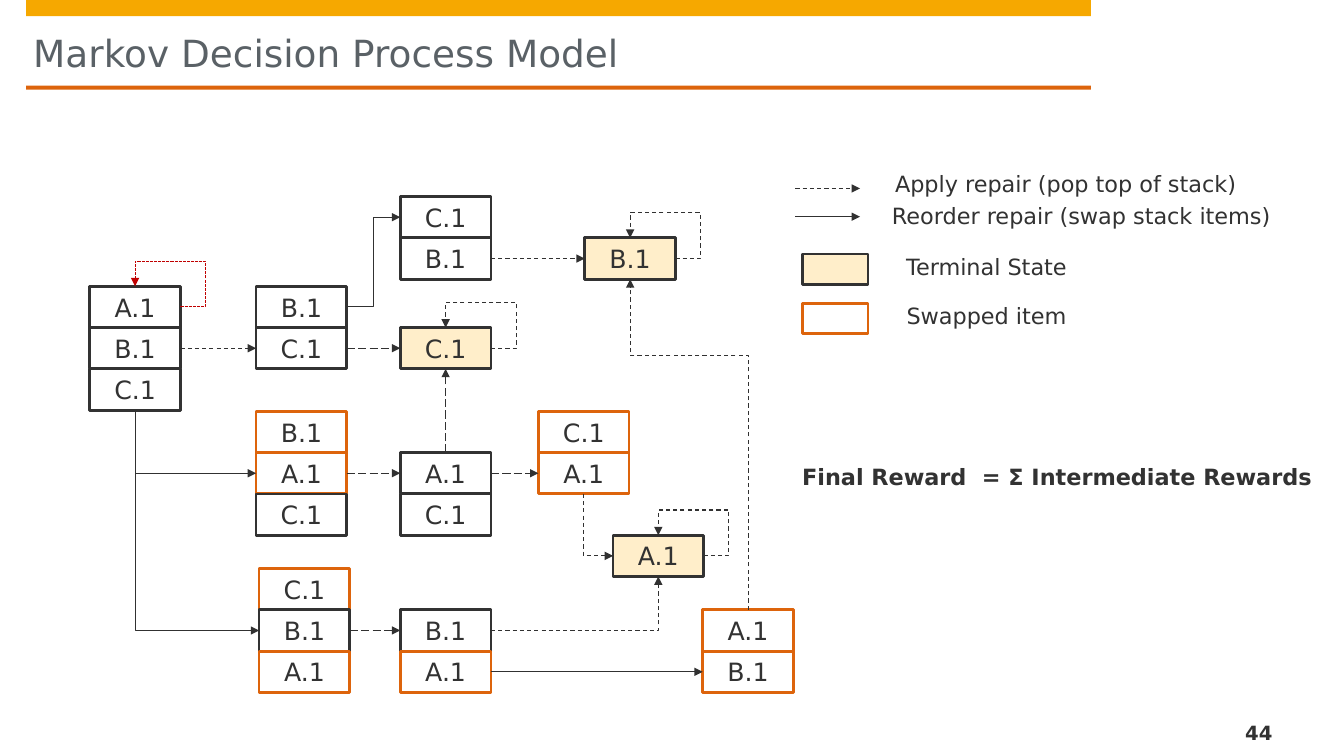
from dataclasses import dataclass
from lxml.etree import SubElement
from pptx import Presentation
from pptx.dml.color import RGBColor
from pptx.enum.dml import MSO_LINE
from pptx.enum.shapes import MSO_CONNECTOR, MSO_SHAPE
from pptx.enum.text import MSO_ANCHOR, PP_ALIGN
from pptx.oxml.ns import qn
from pptx.util import Inches, Pt


@dataclass(frozen=True)
class Theme:
    font: str = "DejaVu Sans"
    ink: str = "323232"
    wire: str = "313131"
    grey: str = "5A6166"
    gold: str = "F6A800"
    orange: str = "DD640C"
    cream: str = "FFEECA"
    white: str = "FFFFFF"
    red: str = "C00000"
    title: float = 26.7
    cell: float = 18
    label: float = 16
    page: float = 14
    border: float = 2
    thin: float = 0.75


T = Theme()
LOOKS = {
    "plain": (T.white, T.ink),
    "swap": (T.white, T.orange),
    "end": (T.cream, T.ink),
}
WIDE, TALL, LOOP = 0.9, 0.41, 0.25

BARS = [(0, 0.16, T.gold), (0.85, 0.04, T.orange)]
STACKS = {
    "start": (0.89, 2.84, [("A.1", "plain"), ("B.1", "plain"), ("C.1", "plain")]),
    "popped": (2.54, 2.84, [("B.1", "plain"), ("C.1", "plain")]),
    "swap1": (2.54, 4.08, [("B.1", "swap"), ("A.1", "swap"), ("C.1", "plain")]),
    "swap2": (2.57, 5.64, [("C.1", "swap"), ("B.1", "plain"), ("A.1", "swap")]),
    "turned": (3.97, 1.95, [("C.1", "plain"), ("B.1", "plain")]),
    "endC": (3.97, 3.25, [("C.1", "end")]),
    "restAC": (3.97, 4.49, [("A.1", "plain"), ("C.1", "plain")]),
    "restBA": (3.97, 6.05, [("B.1", "plain"), ("A.1", "swap")]),
    "swapCA": (5.34, 4.08, [("C.1", "swap"), ("A.1", "swap")]),
    "endB": (5.8, 2.36, [("B.1", "end")]),
    "endA": (6.08, 5.31, [("A.1", "end")]),
    "swapAB": (6.97, 6.05, [("A.1", "swap"), ("B.1", "swap")]),
}
LINKS = [
    ("popped", 0, "right", "turned", 0, "left", None),
    ("start", 1, "right", "popped", 1, "left", MSO_LINE.DASH),
    ("popped", 1, "right", "endC", 0, "left", MSO_LINE.LONG_DASH),
    ("turned", 1, "right", "endB", 0, "left", MSO_LINE.DASH),
    ("start", 2, "bottom", "swap1", 1, "left", None),
    ("start", 2, "bottom", "swap2", 1, "left", None),
    ("swap1", 1, "right", "restAC", 0, "left", MSO_LINE.LONG_DASH),
    ("swap2", 1, "right", "restBA", 0, "left", MSO_LINE.LONG_DASH),
    ("restAC", 0, "top", "endC", 0, "bottom", MSO_LINE.LONG_DASH),
    ("restAC", 0, "right", "swapCA", 1, "left", MSO_LINE.LONG_DASH),
    ("swapCA", 1, "bottom", "endA", 0, "left", MSO_LINE.DASH),
    ("restBA", 0, "right", "endA", 0, "bottom", MSO_LINE.DASH),
    ("swapAB", 0, "top", "endB", 0, "bottom", MSO_LINE.DASH),
    ("restBA", 1, "right", "swapAB", 1, "left", None),
]
BENDS = {("swapAB", "endB"): 0.77}
LOOPS = [
    ("start", T.red, MSO_LINE.SQUARE_DOT),
    ("endC", T.wire, MSO_LINE.DASH),
    ("endB", T.wire, MSO_LINE.DASH),
    ("endA", T.wire, MSO_LINE.DASH),
]
KEYS = [(1.87, MSO_LINE.DASH), (2.15, None)]
BOXES = [(2.52, "end"), (3.01, "swap")]
LABELS = [
    ("Apply repair (pop top of stack)", 8.59, 1.64, 3.96, False),
    ("Reorder repair (swap stack items)", 8.61, 1.96, 4.23, False),
    ("Terminal State", 8.61, 2.46, 2.35, False),
    ("Swapped item", 8.61, 2.95, 2.35, False),
    ("Final Reward  = Σ Intermediate Rewards", 7.77, 4.55, 5.43, True),
]

deck = Presentation()
deck.slide_width, deck.slide_height = Inches(13.33), Inches(7.5)
slide = deck.slides.add_slide(deck.slide_layouts[6])
shapes = slide.shapes


def place(*spot):
    return [Inches(value) for value in spot]


def write(shape, text, size, color=T.ink, bold=False, align=PP_ALIGN.CENTER):
    para = shape.text_frame.paragraphs[0]
    para.text, para.alignment = text, align
    font = para.font
    font.name, font.size, font.bold = T.font, Pt(size), bold
    font.color.rgb = RGBColor.from_string(color)


def rect(spot, fill, edge=None):
    box = shapes.add_shape(MSO_SHAPE.RECTANGLE, *place(*spot))
    box.shadow.inherit = False
    box.fill.solid()
    box.fill.fore_color.rgb = RGBColor.from_string(fill)
    if edge:
        box.line.color.rgb = RGBColor.from_string(edge)
        box.line.width = Pt(T.border)
    else:
        box.line.fill.background()
    return box


def label(spot, text, size, insets=None, **style):
    box = shapes.add_textbox(*place(*spot))
    frame = box.text_frame
    frame.word_wrap = True
    if insets:
        (frame.margin_left, frame.margin_top,
         frame.margin_right, frame.margin_bottom) = place(*insets)
    write(box, text, size, **style)
    return frame


def arrow(start, end, dash, color=T.wire, form="line", bends=(), turned=False):
    (x1, y1), (x2, y2) = start, end
    if turned:
        midx, midy = (x1 + x2) / 2, (y1 + y2) / 2
        run, rise = (y1 - y2) / 2, (x2 - x1) / 2
        x1, y1, x2, y2 = midx - run, midy - rise, midx + run, midy + rise
    kind = MSO_CONNECTOR.STRAIGHT if form == "line" else MSO_CONNECTOR.ELBOW
    wire = shapes.add_connector(kind, *place(x1, y1, x2, y2))
    wire.line.color.rgb = RGBColor.from_string(color)
    wire.line.width = Pt(T.thin)
    if dash:
        wire.line.dash_style = dash
    props = wire._element.spPr
    SubElement(props.find(qn("a:ln")), qn("a:tailEnd"), type="triangle")
    SubElement(props, qn("a:effectLst"))
    if turned:
        props.find(qn("a:xfrm")).set("rot", "16200000")
    shape = props.find(qn("a:prstGeom"))
    shape.set("prst", form)
    guides = shape.find(qn("a:avLst"))
    if guides is None:
        guides = SubElement(shape, qn("a:avLst"))
    for index, bend in enumerate(bends, 1):
        SubElement(guides, qn("a:gd"), name=f"adj{index}",
                   fmla=f"val {round(bend * 100000)}")


def site(name, row, side):
    left, top, _ = STACKS[name]
    across, down = {"left": (0, 0.5), "right": (1, 0.5),
                    "top": (0.5, 0), "bottom": (0.5, 1)}[side]
    return left + across * WIDE, top + (row + down) * TALL


def link(first, row, side, last, target, entry, dash):
    start, end = site(first, row, side), site(last, target, entry)
    upright = side in ("top", "bottom")
    crossed = upright != (entry in ("top", "bottom"))
    gap = abs(start[0] - end[0]) if upright else abs(start[1] - end[1])
    if crossed:
        arrow(start, end, dash, form="bentConnector2", turned=upright)
    elif gap < 0.03:
        end = (start[0], end[1]) if upright else (end[0], start[1])
        arrow(start, end, dash)
    else:
        bend = BENDS.get((first, last), 0.5)
        arrow(start, end, dash, form="bentConnector3", bends=[bend], turned=upright)


for top, height, color in BARS:
    rect((0.26, top, 10.56, height), color)
label((0.33, 0.14, 11.5, 0.74), "Markov Decision Process Model", T.title,
      (0, 0.16, 0, 0), color=T.grey, align=PP_ALIGN.LEFT)
page = label((12.23, 7.09, 0.84, 0.29), "44", T.page, (0.12, 0, 0, 0),
             bold=True, align=PP_ALIGN.LEFT)
page.vertical_anchor = MSO_ANCHOR.BOTTOM

for left, top, cells in STACKS.values():
    for row, (text, look) in enumerate(cells):
        box = rect((left, top + row * TALL, WIDE, TALL), *LOOKS[look])
        box.text_frame.vertical_anchor = MSO_ANCHOR.MIDDLE
        write(box, text, T.cell)

for item in LINKS:
    link(*item)
for name, color, dash in LOOPS:
    arrow(site(name, 0, "right"), site(name, 0, "top"), dash, color,
          "bentConnector4", [-LOOP / (WIDE / 2), 1 + LOOP / (TALL / 2)])

for height, dash in KEYS:
    arrow((7.89, height), (8.53, height), dash)
for top, look in BOXES:
    rect((7.96, top, 0.65, 0.3), *LOOKS[look])
for text, left, top, width, bold in LABELS:
    label((left, top, width, 0.37), text, T.label, bold=bold)

deck.save("out.pptx")
